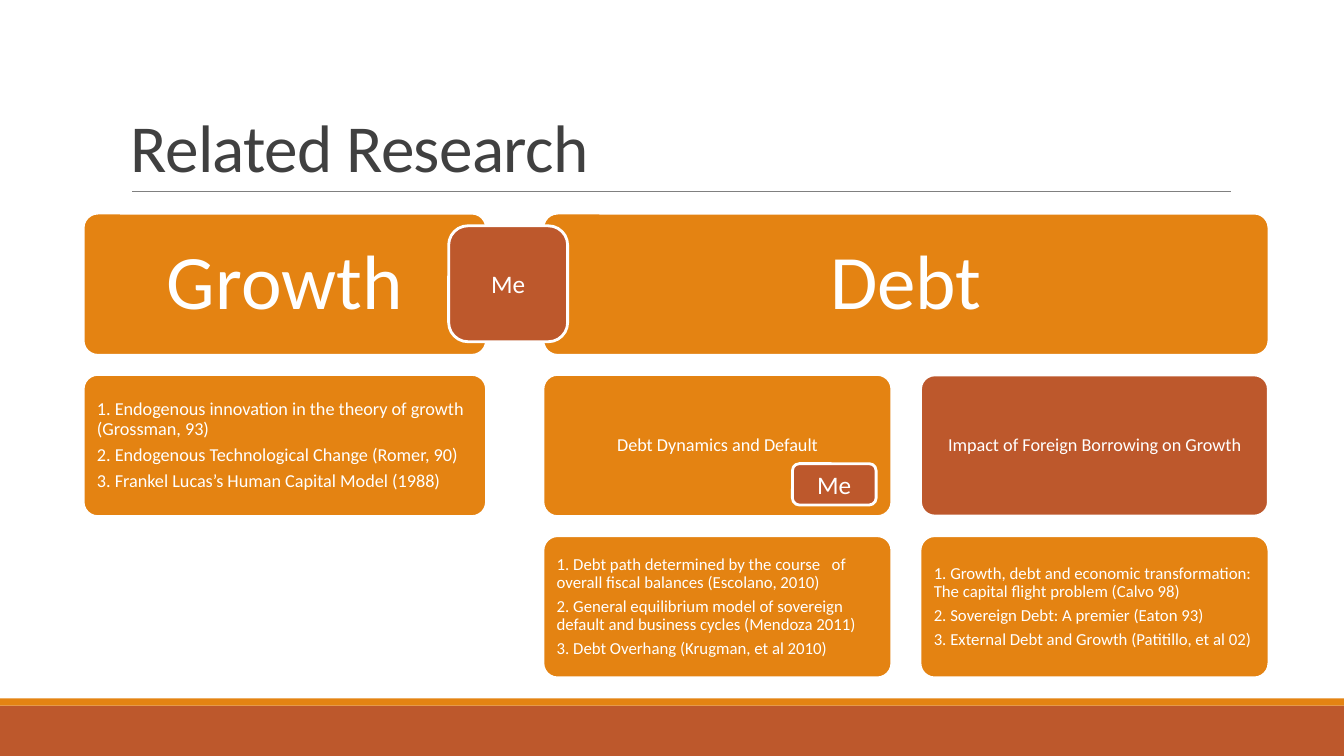
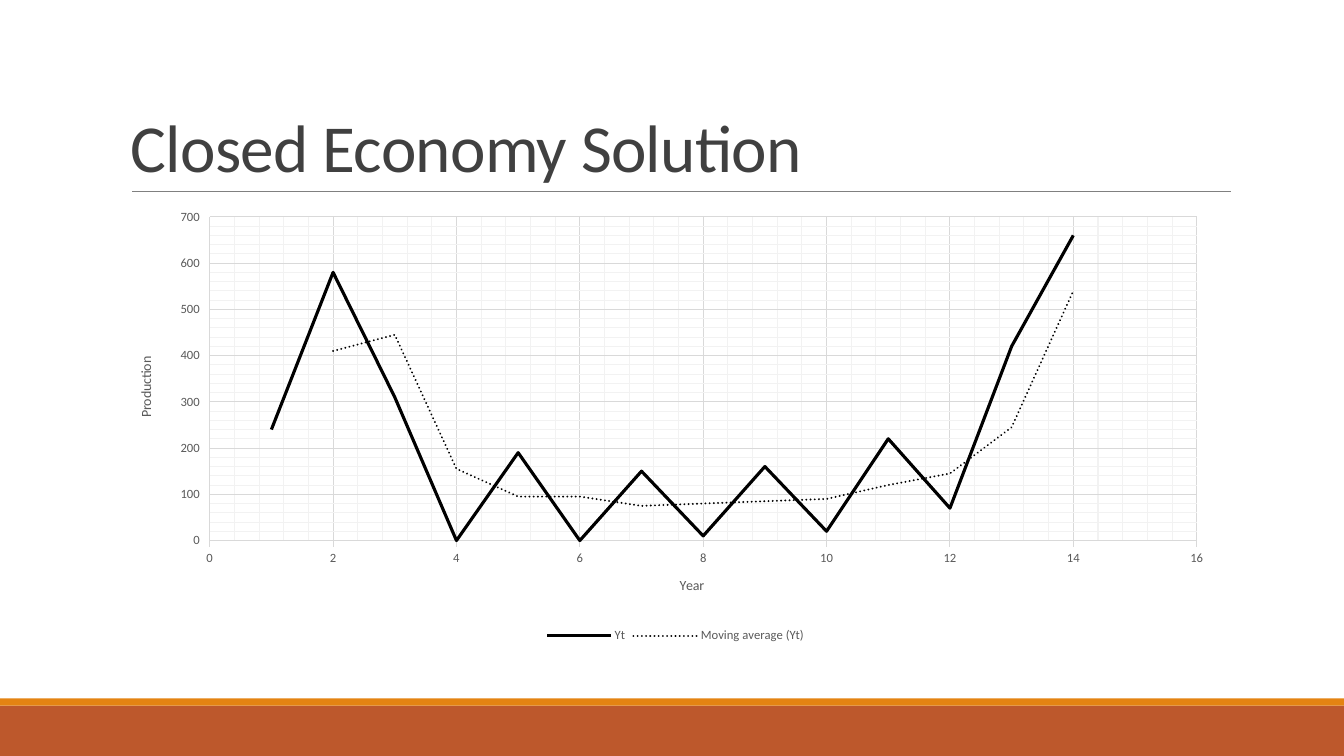
from pptx import Presentation
from pptx.chart.data import XyChartData
from pptx.dml.color import RGBColor
from pptx.enum.chart import XL_CHART_TYPE, XL_LEGEND_POSITION, XL_TICK_MARK
from pptx.enum.shapes import MSO_CONNECTOR, MSO_SHAPE
from pptx.enum.text import MSO_ANCHOR, PP_ALIGN
from pptx.oxml import parse_xml
from pptx.oxml.ns import nsdecls, qn
from pptx.util import Inches, Pt

RECT = MSO_SHAPE.RECTANGLE
ROUND = MSO_SHAPE.ROUNDED_RECTANGLE
STRAIGHT = MSO_CONNECTOR.STRAIGHT
CENTER, LEFT = PP_ALIGN.CENTER, PP_ALIGN.LEFT
MIDDLE, BOTTOM = MSO_ANCHOR.MIDDLE, MSO_ANCHOR.BOTTOM
SCATTER = XL_CHART_TYPE.XY_SCATTER_SMOOTH_NO_MARKERS
LEGEND_BOTTOM = XL_LEGEND_POSITION.BOTTOM
TICK_OUT = XL_TICK_MARK.OUTSIDE

FONT = "Calibri"
ORANGE = RGBColor(0xE4, 0x83, 0x12)
RUST = RGBColor(0xBD, 0x58, 0x2C)
WHITE = RGBColor(0xFF, 0xFF, 0xFF)
BLACK = RGBColor(0x00, 0x00, 0x00)
TITLE_GREY = RGBColor(0x40, 0x40, 0x40)
RULE_GREY = RGBColor(0x80, 0x80, 0x80)
LABEL_GREY = RGBColor(0x59, 0x59, 0x59)
GRID_GREY = RGBColor(0xD9, 0xD9, 0xD9)
MINOR_GREY = RGBColor(0xF2, 0xF2, 0xF2)

SLIDE_W, SLIDE_H = 13.33, 7.5
BAND_H, STRIPE_H = 0.5, 0.07
CONTENT_X, CONTENT_W = 1.2, 11
RULE_X, RULE_Y, RULE_W = 1.31, 1.9, 10.9

GROWTH_X, GROWTH_W = 0.83, 3.99
DEBT_X, DEBT_W, DEBT_GAP = 5.39, 3.45, 0.29
ROW_Y, ROW_H, ROW_GAP = 2.12, 1.4, 0.2

GROWTH_PAPERS = [
    "1. Endogenous innovation in the theory of growth (Grossman, 93)",
    "2. Endogenous Technological Change (Romer, 90)",
    "3. Frankel Lucas’s Human Capital Model (1988)",
]
DEFAULT_PAPERS = [
    "1. Debt path determined by the course   of overall fiscal balances (Escolano, 2010)",
    "2. General equilibrium model of sovereign default and business cycles (Mendoza 2011)",
    "3. Debt Overhang (Krugman, et al 2010)",
]
BORROWING_PAPERS = [
    "1. Growth, debt and economic transformation: The capital flight problem (Calvo 98)",
    "2. Sovereign Debt: A premier (Eaton 93)",
    "3. External Debt and Growth (Patitillo, et al 02)",
]
PRODUCTION = [240, 580, 310, 0, 190, 0, 150, 10, 160, 20, 220, 70, 420, 660]


def row_y(row):
    return ROW_Y + row * (ROW_H + ROW_GAP)


def debt_x(col):
    return DEBT_X + col * (DEBT_W + DEBT_GAP)


def style_font(font, size, color):
    font.name = FONT
    font.size = Pt(size)
    font.color.rgb = color
    font.bold = False


def style_line(line, color, width):
    line.color.rgb = color
    line.width = Pt(width)


def add_box(s, kind, x, y, w, h, fill, line_w=0):
    sp = s.shapes.add_shape(kind, Inches(x), Inches(y), Inches(w), Inches(h))
    sp.shadow.inherit = False
    sp.fill.solid()
    sp.fill.fore_color.rgb = fill
    if line_w:
        style_line(sp.line, WHITE, line_w)
    else:
        sp.line.fill.background()
    return sp


def write(sp, lines, size, color, align=CENTER, anchor=MIDDLE, spacing=1.0, after=0.0):
    tf = sp.text_frame
    tf.word_wrap = True
    tf.vertical_anchor = anchor
    for i, line in enumerate(lines):
        p = tf.paragraphs[0] if i == 0 else tf.add_paragraph()
        p.text = line
        p.alignment = align
        p.line_spacing = spacing
        p.space_after = Pt(size * after)
        style_font(p.font, size, color)
    return tf


def add_card(s, x, row, w, lines, size, align=CENTER, fill=ORANGE, line_w=1.25):
    sp = add_box(s, ROUND, x, row_y(row), w, ROW_H, fill, line_w)
    sp.adjustments[0] = 0.1
    tf = write(sp, lines, size, WHITE, align, spacing=0.9, after=0.35)
    tf.margin_left = tf.margin_right = Inches(0.09)
    tf.margin_top = tf.margin_bottom = Inches(0.09)


def add_me(s, x, y, w, h):
    write(add_box(s, ROUND, x, y, w, h, RUST, 2), ["Me"], 18, WHITE)


def add_rule(s):
    rule = s.shapes.add_connector(STRAIGHT, Inches(RULE_X), Inches(RULE_Y),
                                  Inches(RULE_X + RULE_W), Inches(RULE_Y))
    style_line(rule.line, RULE_GREY, 0.5)
    rule.element.spPr.append(parse_xml(f"<a:effectLst {nsdecls('a')}/>"))


def new_slide(prs, title):
    s = prs.slides.add_slide(prs.slide_layouts[6])
    band_y = SLIDE_H - BAND_H
    add_box(s, RECT, 0, band_y, SLIDE_W, BAND_H, RUST)
    add_box(s, RECT, 0, band_y - STRIPE_H, SLIDE_W, STRIPE_H, ORANGE)
    add_rule(s)
    sp = s.shapes.add_textbox(Inches(CONTENT_X), Inches(0.31), Inches(CONTENT_W), Inches(1.59))
    tf = write(sp, [title], 48, TITLE_GREY, LEFT, BOTTOM, 0.85)
    tf.paragraphs[0].runs[0].font._element.set("spc", "-50")
    return s


def add_minor_gridlines(axis):
    axis.has_minor_gridlines = True
    axis._element.find(qn("c:minorGridlines")).append(parse_xml(
        f"<c:spPr {nsdecls('c', 'a')}><a:ln w='{Pt(0.75)}'><a:solidFill>"
        f"<a:srgbClr val='{MINOR_GREY}'/></a:solidFill></a:ln></c:spPr>"))


def style_axis(axis, title, maximum, major, minor):
    axis.minimum_scale, axis.maximum_scale = 0, maximum
    axis.major_unit, axis.minor_unit = major, minor
    axis.major_tick_mark = TICK_OUT
    axis.has_major_gridlines = True
    style_line(axis.major_gridlines.format.line, GRID_GREY, 0.75)
    add_minor_gridlines(axis)
    style_font(axis.tick_labels.font, 9, LABEL_GREY)
    tf = axis.axis_title.text_frame
    tf.text = title
    style_font(tf.paragraphs[0].font, 10, LABEL_GREY)


def set_plot_area(chart, x, y, w, h):
    area = chart.element.find(".//" + qn("c:plotArea"))
    for layout in area.findall(qn("c:layout")):
        area.remove(layout)
    area.insert(0, parse_xml(
        f"<c:layout {nsdecls('c')}><c:manualLayout><c:layoutTarget val='inner'/>"
        f"<c:xMode val='edge'/><c:yMode val='edge'/><c:x val='{x}'/><c:y val='{y}'/>"
        f"<c:w val='{w}'/><c:h val='{h}'/></c:manualLayout></c:layout>"))


def add_moving_average(chart, period):
    x_values = chart.element.find(".//" + qn("c:xVal"))
    x_values.addprevious(parse_xml(
        f"<c:trendline {nsdecls('c', 'a')}><c:spPr><a:ln w='{Pt(1.5)}' cap='rnd'>"
        f"<a:solidFill><a:srgbClr val='{BLACK}'/></a:solidFill><a:prstDash val='sysDot'/>"
        f"</a:ln></c:spPr><c:trendlineType val='movingAvg'/><c:period val='{period}'/>"
        "<c:dispRSqr val='0'/><c:dispEq val='0'/></c:trendline>"))


def add_production_chart(s):
    data = XyChartData()
    yt = data.add_series("Yt")
    for year, value in enumerate(PRODUCTION, 1):
        yt.add_data_point(year, value)
    chart = s.shapes.add_chart(SCATTER, Inches(CONTENT_X), Inches(2.02),
                               Inches(CONTENT_W), Inches(4.4), data).chart
    style_font(chart.font, 10, BLACK)
    chart.has_title = False
    chart.has_legend = True
    chart.legend.position = LEGEND_BOTTOM
    chart.legend.include_in_layout = False
    style_font(chart.legend.font, 9, LABEL_GREY)
    style_axis(chart.category_axis, "Year", 16, 2, 0.4)
    style_line(chart.category_axis.format.line, GRID_GREY, 0.75)
    style_axis(chart.value_axis, "Production", 700, 100, 20)
    chart.value_axis.format.line.fill.background()
    plot = chart.plots[0]
    plot.vary_by_categories = False
    series = plot.series[0]
    style_line(series.format.line, BLACK, 2.25)
    series.smooth = True
    add_moving_average(chart, 2)
    set_plot_area(chart, 0.08, 0.03, 0.89, 0.73)


def add_research(prs):
    s = new_slide(prs, "Related Research")
    add_card(s, GROWTH_X, 0, GROWTH_W, ["Growth"], 55)
    add_card(s, GROWTH_X, 1, GROWTH_W, GROWTH_PAPERS, 13, LEFT)
    add_card(s, DEBT_X, 0, 2 * DEBT_W + DEBT_GAP, ["Debt"], 55)
    add_card(s, debt_x(0), 1, DEBT_W, ["Debt Dynamics and Default"], 13)
    add_card(s, debt_x(0), 2, DEBT_W, DEFAULT_PAPERS, 12, LEFT)
    add_card(s, debt_x(1), 1, DEBT_W, ["Impact of Foreign Borrowing on Growth"], 13,
             fill=RUST, line_w=2)
    add_card(s, debt_x(1), 2, DEBT_W, BORROWING_PAPERS, 12, LEFT)
    add_me(s, 4.45, 2.24, 1.18, 1.15)
    add_me(s, 7.86, 4.6, 0.83, 0.41)


def main():
    prs = Presentation()
    prs.slide_width, prs.slide_height = Inches(SLIDE_W), Inches(SLIDE_H)
    add_research(prs)
    add_production_chart(new_slide(prs, "Closed Economy Solution"))
    prs.save("out.pptx")


if __name__ == "__main__":
    main()
